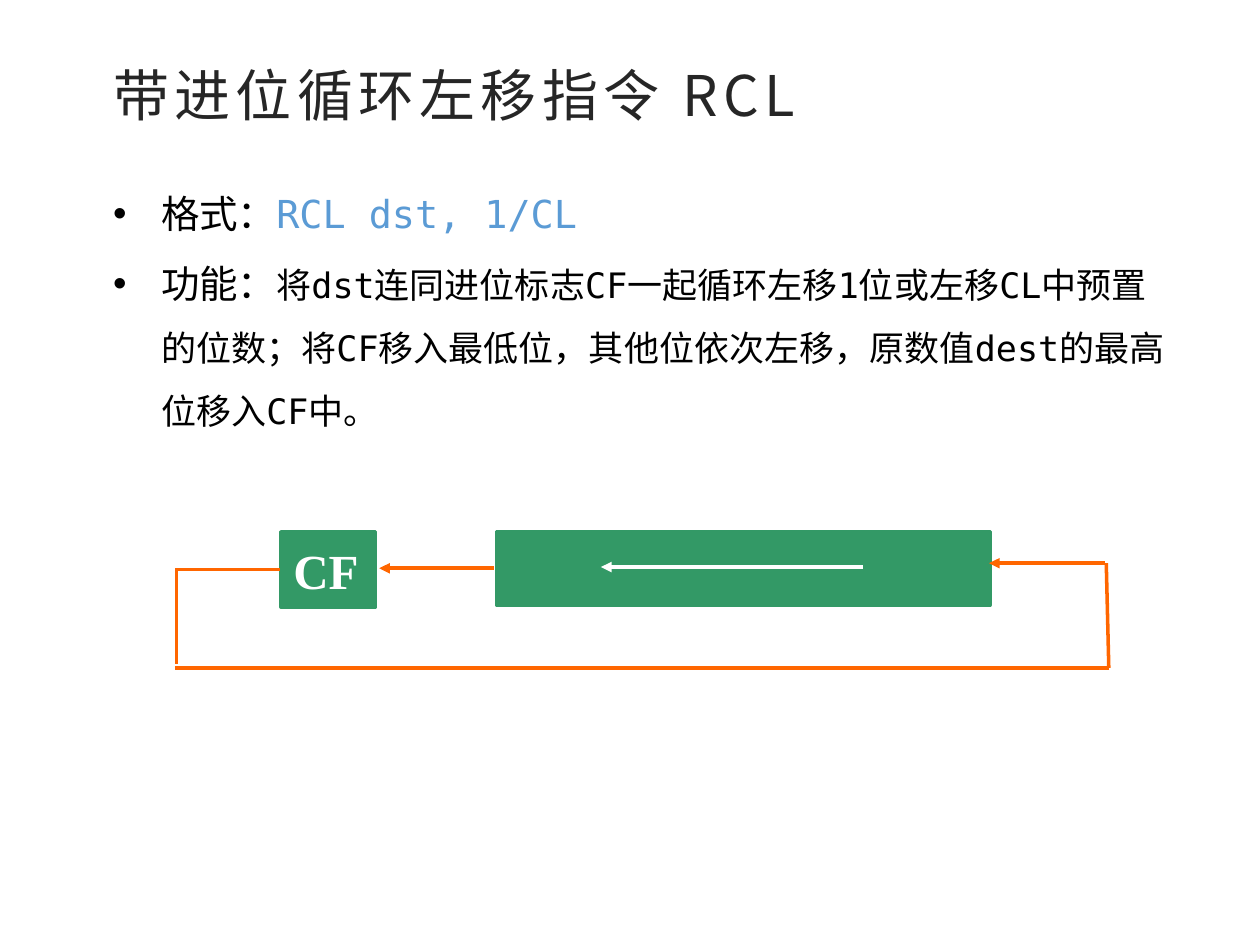
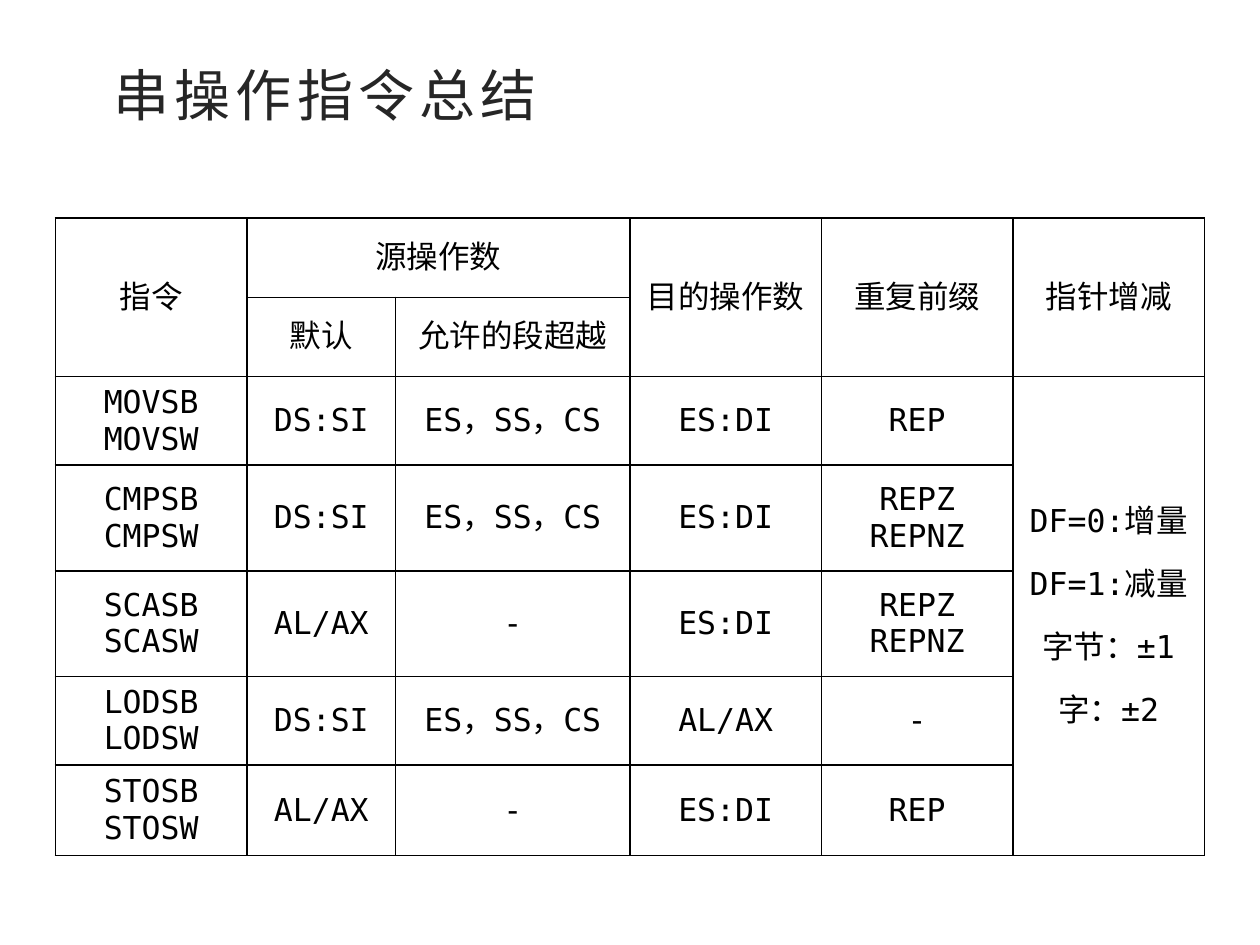
from dataclasses import dataclass

from lxml import etree
from pptx import Presentation
from pptx.dml.color import RGBColor
from pptx.enum.shapes import MSO_CONNECTOR, MSO_SHAPE
from pptx.enum.text import MSO_ANCHOR, PP_ALIGN
from pptx.oxml.ns import qn
from pptx.util import Inches, Pt

MIDDLE, TOP = MSO_ANCHOR.MIDDLE, MSO_ANCHOR.TOP
CENTER = PP_ALIGN.CENTER
STRAIGHT, RECTANGLE = MSO_CONNECTOR.STRAIGHT, MSO_SHAPE.RECTANGLE


@dataclass(frozen=True)
class Theme:
    ink: str = "000000"
    title_ink: str = "262626"
    code: str = "5B9BD5"
    register: str = "339966"
    flow: str = "FF6600"
    white: str = "FFFFFF"
    title_font: str = "Noto Sans CJK SC"
    body_font: str = "DejaVu Sans Mono"
    label_font: str = "Times New Roman"
    title_size: int = 32
    body_size: int = 22
    detail_size: int = 20
    table_size: int = 18
    label_size: int = 28
    line_width: int = 2
    border_width: int = 1


THEME = Theme()
TITLE_BOX = (0.8, 0.43, 8.58, 0.64)
BODY_BOX = (0.8, 1.28, 8.58, 3.27)
DIAGRAM_BOX = (1.39, 4.22, 7.41, 1.08)
TABLE_BOX = (0.44, 1.73, 9.12, 5.06)

SYNTAX = [
    [("格式：", THEME.body_size, THEME.ink),
     ("RCL dst, 1/CL", THEME.body_size, THEME.code)],
    [("功能：", THEME.body_size, THEME.ink),
     ("将dst连同进位标志CF一起循环左移1位或左移CL中预置的位数；"
      "将CF移入最低位，其他位依次左移，原数值dest的最高位移入CF中。",
      THEME.detail_size, THEME.ink)],
]

# Each row: instruction, default source, segment override, destination, prefix, pointer
OVERRIDES = "ES，SS，CS"
SUMMARY = [
    ["指令", "源操作数", "", "目的操作数", "重复前缀", "指针增减"],
    ["", "默认", "允许的段超越", "", "", ""],
    ["MOVSB\nMOVSW", "DS:SI", OVERRIDES, "ES:DI", "REP",
     "DF=0:增量\nDF=1:减量\n字节：±1\n字：±2"],
    ["CMPSB\nCMPSW", "DS:SI", OVERRIDES, "ES:DI", "REPZ\nREPNZ", ""],
    ["SCASB\nSCASW", "AL/AX", "-", "ES:DI", "REPZ\nREPNZ", ""],
    ["LODSB\nLODSW", "DS:SI", OVERRIDES, "AL/AX", "-", ""],
    ["STOSB\nSTOSW", "AL/AX", "-", "ES:DI", "REP", ""],
]
COLUMN_WIDTHS = [1.52, 1.18, 1.86, 1.52, 1.52, 1.52]
ROW_HEIGHTS = [0.63, 0.63, 0.7, 0.84, 0.84, 0.7, 0.72]
# First and last (row, column) of each joined area
MERGES = [((0, 0), (1, 0)), ((0, 1), (0, 2)), ((2, 5), (6, 5))]
MERGES += [((0, column), (1, column)) for column in (3, 4, 5)]


def color(value):
    return RGBColor.from_string(value)


def inches(values):
    return [Inches(value) for value in values]


def apply(target, formats):
    for name, value in formats.items():
        setattr(target, name, value)


def add_run(paragraph, text, size, ink, font, bold=False):
    run = paragraph.add_run()
    run.text = text
    apply(run.font, {"size": Pt(size), "name": font, "bold": bold})
    run.font.color.rgb = color(ink)
    properties = run.font._element
    etree.SubElement(properties, qn("a:ea"), typeface=font)
    return properties


def add_text_frame(slide, box, anchor):
    frame = slide.shapes.add_textbox(*inches(box)).text_frame
    apply(frame, {"word_wrap": True, "vertical_anchor": anchor})
    return frame


def add_title(slide, text):
    title = add_text_frame(slide, TITLE_BOX, MIDDLE).paragraphs[0]
    properties = add_run(title, text, THEME.title_size, THEME.title_ink, THEME.title_font)
    properties.set("spc", "300")


def add_syntax(slide, box):
    frame = add_text_frame(slide, box, TOP)
    for index, parts in enumerate(SYNTAX):
        item = frame.add_paragraph() if index else frame.paragraphs[0]
        item.line_spacing = 1.5
        properties = item._p.get_or_add_pPr()
        properties.set("marL", str(Inches(0.38)))
        properties.set("indent", str(-Inches(0.38)))
        etree.SubElement(properties, qn("a:buFont"), typeface="Arial")
        etree.SubElement(properties, qn("a:buChar"), char="•")
        for text, size, ink in parts:
            add_run(item, text, size, ink, THEME.body_font)


def add_rotation_diagram(slide, box):
    left, top = box[:2]

    def add_register(x, y, width, height):
        register = slide.shapes.add_shape(
            RECTANGLE, *inches((left + x, top + y, width, height)))
        register.shadow.inherit = False
        register.fill.solid()
        register.fill.fore_color.rgb = color(THEME.register)
        register.line.color.rgb = color(THEME.register)
        register.line.width = Pt(THEME.line_width)
        return register

    def add_flow(x1, y1, x2, y2, ink=THEME.flow, arrow=False):
        flow = slide.shapes.add_connector(
            STRAIGHT, *inches((left + x1, top + y1, left + x2, top + y2)))
        flow.line.color.rgb = color(ink)
        flow.line.width = Pt(THEME.line_width)
        if arrow:
            etree.SubElement(flow.line._get_or_add_ln(), qn("a:tailEnd"), type="triangle")
        etree.SubElement(flow._element.spPr, qn("a:effectLst"))

    # Operand register and carry flag
    add_register(2.55, 0, 3.92, 0.58)
    carry = add_register(0.84, 0, 0.75, 0.6).text_frame
    apply(carry, {"word_wrap": False, "vertical_anchor": MIDDLE})
    carry.paragraphs[0].alignment = PP_ALIGN.LEFT
    add_run(carry.paragraphs[0], "CF", THEME.label_size, THEME.white,
            THEME.label_font, bold=True)

    # Return path from the carry flag to the lowest bit
    add_flow(7.39, 0.25, 7.41, 1.08)
    add_flow(0, 1.08, 7.41, 1.08)
    add_flow(0.01, 0.3, 0.01, 1.05)
    add_flow(0, 0.3, 0.83, 0.3)

    # Shift direction
    add_flow(5.46, 0.28, 3.38, 0.28, THEME.white, arrow=True)
    add_flow(7.38, 0.25, 6.46, 0.25, arrow=True)
    add_flow(2.53, 0.29, 1.62, 0.29, arrow=True)


def add_borders(cell):
    properties = cell._tc.get_or_add_tcPr()
    for side in ("a:lnL", "a:lnR", "a:lnT", "a:lnB"):
        border = etree.SubElement(properties, qn(side), w=str(Pt(THEME.border_width)))
        fill = etree.SubElement(border, qn("a:solidFill"))
        etree.SubElement(fill, qn("a:srgbClr"), val=THEME.ink)


def fill_cell(cell, text, gap):
    cell.vertical_anchor = MIDDLE
    add_borders(cell)
    cell.fill.background()
    for index, line in enumerate(text.split("\n") if text else []):
        frame = cell.text_frame
        paragraph = frame.add_paragraph() if index else frame.paragraphs[0]
        apply(paragraph, {"alignment": CENTER, "space_before": Pt(gap),
                          "space_after": Pt(gap)})
        add_run(paragraph, line, THEME.table_size, THEME.ink, THEME.body_font)


def add_summary_table(slide, box):
    table = slide.shapes.add_table(
        len(ROW_HEIGHTS), len(COLUMN_WIDTHS), *inches(box)).table
    apply(table, {"first_row": False, "horz_banding": False})
    for column, width in zip(table.columns, COLUMN_WIDTHS):
        column.width = Inches(width)
    for row, height in zip(table.rows, ROW_HEIGHTS):
        row.height = Inches(height)
    for first, last in MERGES:
        table.cell(*first).merge(table.cell(*last))
    for r, texts in enumerate(SUMMARY):
        for c, text in enumerate(texts):
            # The pointer rules stand further apart than other lines
            fill_cell(table.cell(r, c), text, gap=7.5 if (r, c) == (2, 5) else 0)


def build_rcl_slide(slide):
    add_title(slide, "带进位循环左移指令 RCL")
    add_syntax(slide, BODY_BOX)
    add_rotation_diagram(slide, DIAGRAM_BOX)


def build_summary_slide(slide):
    add_title(slide, "串操作指令总结")
    add_summary_table(slide, TABLE_BOX)


def main():
    deck = Presentation()
    apply(deck, {"slide_width": Inches(10), "slide_height": Inches(7.5)})
    blank = deck.slide_layouts[6]
    for build in (build_rcl_slide, build_summary_slide):
        build(deck.slides.add_slide(blank))
    deck.save("out.pptx")


if __name__ == "__main__":
    main()
